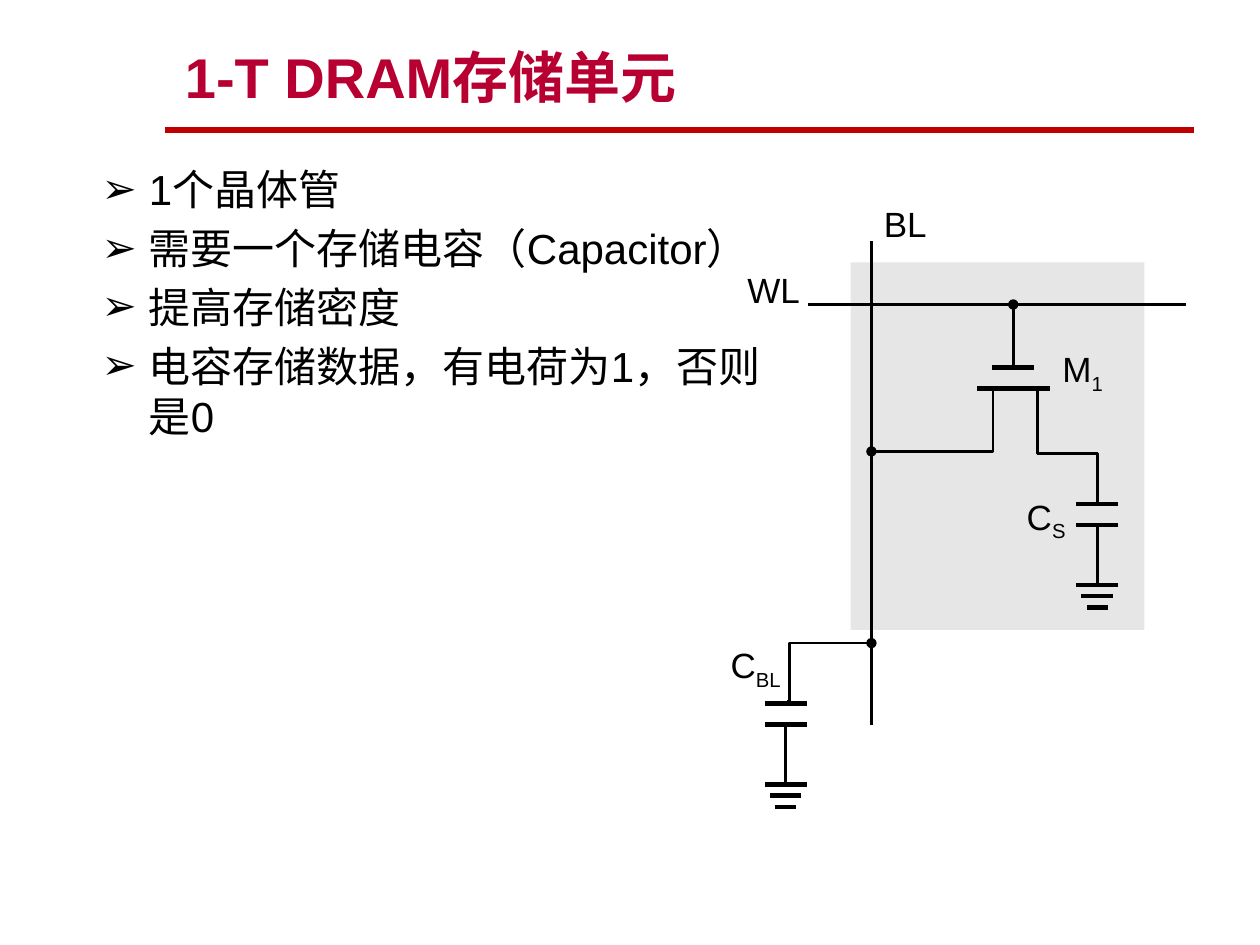
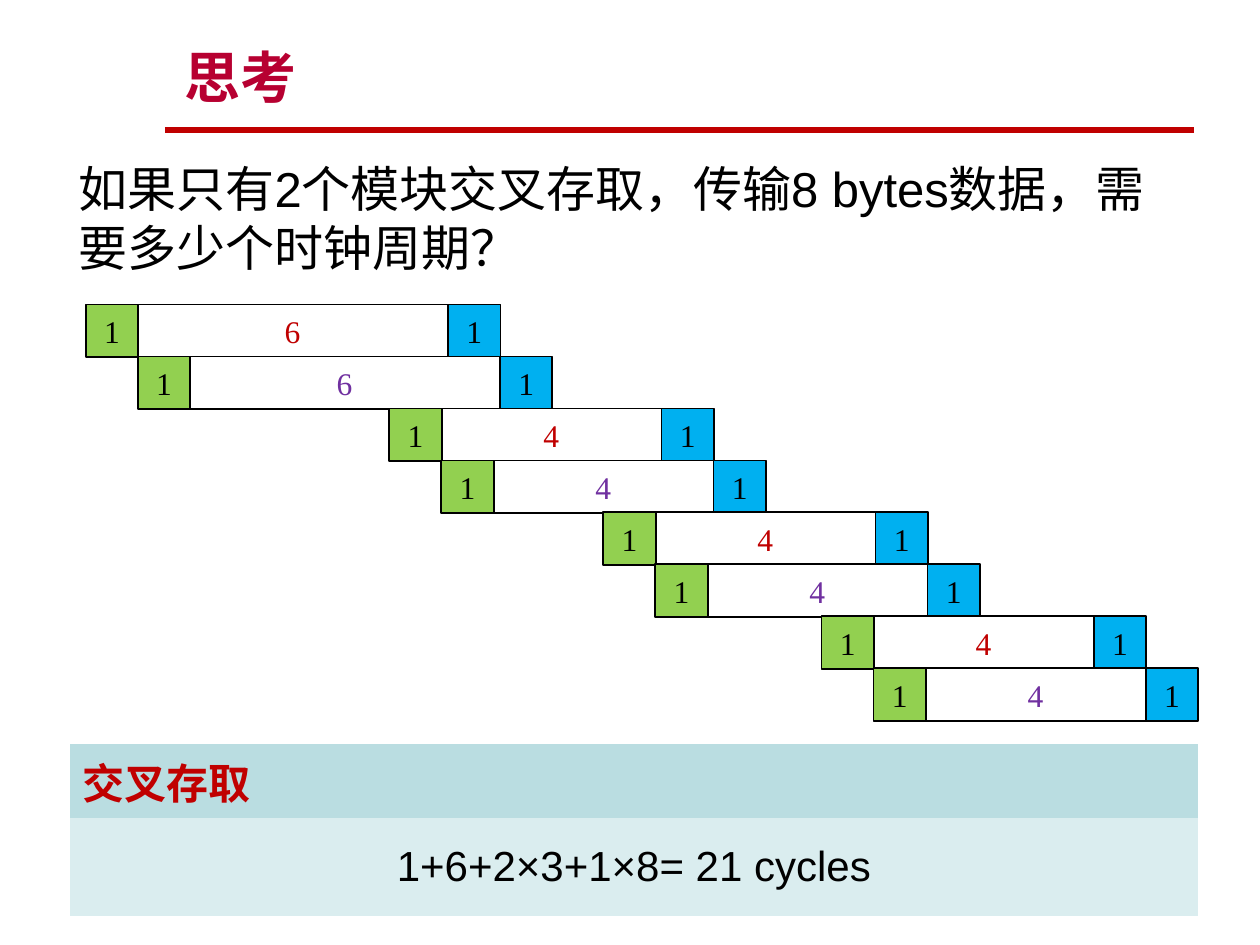
from pptx import Presentation
from pptx.dml.color import RGBColor
from pptx.enum.shapes import MSO_CONNECTOR, MSO_SHAPE
from pptx.enum.text import MSO_ANCHOR, PP_ALIGN
from pptx.oxml.ns import qn
from pptx.util import Pt
from lxml.etree import SubElement

COLORS = {
    "title": "B70031", "rule": "C00000", "black": "000000", "white": "FFFFFF",
    "cell": "E6E6E6", "address": "92D050", "transfer": "00B0F0",
    "odd": "C00000", "even": "7030A0", "head": "BADDE1", "row": "DAEDEF",
}
TITLE = {"size": 32, "bold": True, "color": "title"}
BULLET = {"size": 24}
QUESTION = {"size": 28}
LABEL = {"size": 20}
STEP = {"size": 18, "name": "Times New Roman"}
HEADING = {"size": 24, "bold": True, "color": "rule"}
RESULT = {"size": 24, "bold": False}
NO_TABLE_STYLE = "{2D5ABB26-0587-4C30-8999-92F81FD0307C}"
THIN, THICK = 1.5, 2.5


def rgb(name):
    return RGBColor.from_string(COLORS[name])


def set_font(font, style):
    values = {"name": "Arial", "color": "black", **style}
    font.color.rgb = rgb(values.pop("color"))
    values["size"] = Pt(values["size"])
    for key, value in values.items():
        setattr(font, key, value)


def add_text(page, box, paragraphs, style, wrap=True, anchor=MSO_ANCHOR.TOP):
    """Each paragraph is a string; the text frame is returned for further work."""
    frame = page.shapes.add_textbox(*map(Pt, box)).text_frame
    frame.word_wrap = wrap
    frame.vertical_anchor = anchor
    for index, text in enumerate(paragraphs):
        para = frame.paragraphs[0] if index == 0 else frame.add_paragraph()
        if index:
            para.space_before = Pt(style["size"] * 0.2)
        span = para.add_run()
        span.text = text
        set_font(span.font, style)
    return frame


def add_block(page, box, fill, line=None):
    block = page.shapes.add_shape(MSO_SHAPE.RECTANGLE, *map(Pt, box))
    block.shadow.inherit = False
    block.fill.solid()
    block.fill.fore_color.rgb = rgb(fill)
    if line:
        block.line.color.rgb = rgb(line)
        block.line.width = Pt(1)
    else:
        block.line.fill.background()
    return block


def add_wire(page, start, end, width=THIN, color="black", dot=False, bend=None, turn=0):
    """Draw a line; bend is the elbow position in percent, turn its rotation."""
    kind = MSO_CONNECTOR.STRAIGHT if bend is None else MSO_CONNECTOR.ELBOW
    wire = page.shapes.add_connector(kind, *map(Pt, (*start, *end)))
    wire.line.color.rgb = rgb(color)
    wire.line.width = Pt(width)
    properties = wire._element.spPr
    if dot:
        SubElement(properties.find(qn("a:ln")), qn("a:headEnd"), type="oval")
    if bend is not None:
        guides = properties.find(qn("a:prstGeom")).get_or_add_avLst()
        SubElement(guides, qn("a:gd"), name="adj1", fmla=f"val {round(bend * 1000)}")
    if turn:
        properties.find(qn("a:xfrm")).set("rot", str(turn * 60000))
    SubElement(properties, qn("a:effectLst"))


def add_page(deck, title):
    page = deck.slides.add_slide(deck.slide_layouts[6])
    add_wire(page, (94.3, 74.3), (682.5, 74.3), 3, "rule")
    add_text(page, (98.6, 18, 576, 48), [title], TITLE, anchor=MSO_ANCHOR.BOTTOM)
    return page


def add_bullets(page, box, lines):
    for para in add_text(page, box, lines, BULLET).paragraphs:
        layout = para._p.get_or_add_pPr()
        layout.set("marL", str(Pt(27)))
        layout.set("indent", str(-Pt(27)))
        SubElement(layout, qn("a:buFont"), typeface="Arial")
        SubElement(layout, qn("a:buChar"), char="➢")


def add_bar(page, center, y, length):
    add_wire(page, (center + length / 2, y), (center - length / 2, y), THICK)


def add_grounded_capacitor(page, center, top):
    for dy, length in [(0, 24), (12, 24), (46.2, 24), (52.6, 18), (59.2, 12)]:
        add_bar(page, center, top + dy, length)
    add_wire(page, (center, top + 46.2), (center, top + 12))


def add_circuit(page, left, top):
    def at(x, y):
        return left + x, top + y

    add_block(page, (*at(76, 38), 168, 210), "cell")
    add_wire(page, at(52, 62), at(268, 62))
    add_wire(page, at(88, 302), at(88, 26))
    add_bar(page, *at(169, 110), 42)
    add_bar(page, *at(169, 98), 24)
    add_wire(page, at(169, 62), at(169, 98), dot=True)
    add_wire(page, at(88, 146), at(157, 110), dot=True, bend=100.7)
    add_wire(page, at(167, 160), at(233, 126), bend=43.9, turn=270)
    add_wire(page, at(88, 255.5), at(40, 288.5), dot=True, bend=97.9)
    add_grounded_capacitor(page, *at(217, 176))
    add_grounded_capacitor(page, *at(39, 290))
    labels = [
        ("BL", "", 88, 0, 40), ("WL", "", 10, 38, 45), ("M", "1", 190, 83, 39),
        ("C", "S", 169.6, 167.4, 38), ("C", "BL", 0.4, 252.3, 45),
    ]
    for name, subscript, x, y, width in labels:
        frame = add_text(page, (*at(x, y), width, 31.5), [name], LABEL, wrap=False)
        if subscript:
            span = frame.paragraphs[0].add_run()
            span.text = subscript
            set_font(span.font, LABEL)
            span.font._element.set("baseline", "-25000")


def add_step(page, box, text, fill, color="black"):
    step = add_block(page, box, fill, "black")
    step.text_frame.vertical_anchor = MSO_ANCHOR.MIDDLE
    para = step.text_frame.paragraphs[0]
    para.alignment = PP_ALIGN.CENTER
    span = para.add_run()
    span.text = text
    set_font(span.font, {**STEP, "color": color})


def add_pipeline(page, left, top):
    """Two modules take turns; each access is address, wait and transfer."""
    square, pitch, overlap = 30, 29.7, 0.5
    wait_widths = {6: 177.5, 4: 126}
    rounds = [(0, 6), (173.5, 4), (295.8, 4), (420.5, 4)]
    for number, (offset, wait) in enumerate(rounds):
        for module, color in enumerate(("odd", "even")):
            x = left + offset + module * pitch
            y = top + (2 * number + module) * pitch
            wait_left = x + square - overlap
            width = wait_widths[wait]
            add_step(page, (wait_left, y, width, square), str(wait), "white", color)
            add_step(page, (x, y, square, square), "1", "address")
            add_step(page, (wait_left + width, y, square, square), "1", "transfer")


def add_answer(page, left, top, width):
    rows = [
        ("交叉存取", 42.3, "head", HEADING, PP_ALIGN.LEFT),
        ("1+6+2×3+1×8= 21 cycles", 56, "row", RESULT, PP_ALIGN.CENTER),
    ]
    height = sum(row[1] for row in rows)
    table = page.shapes.add_table(2, 1, *map(Pt, (left, top, width, height))).table
    table.first_row = table.horz_banding = False
    table._tbl.tblPr.find(qn("a:tableStyleId")).text = NO_TABLE_STYLE
    for index, (text, row_height, fill, style, alignment) in enumerate(rows):
        table.rows[index].height = Pt(row_height)
        cell = table.cell(index, 0)
        cell.fill.solid()
        cell.fill.fore_color.rgb = rgb(fill)
        cell.vertical_anchor = MSO_ANCHOR.MIDDLE
        para = cell.text_frame.paragraphs[0]
        para.alignment = alignment
        span = para.add_run()
        span.text = text
        set_font(span.font, style)


def main():
    deck = Presentation()
    deck.slide_width, deck.slide_height = Pt(720), Pt(540)

    page = add_page(deck, "1-T DRAM存储单元")
    add_bullets(page, (51, 90, 409, 396), [
        "1个晶体管",
        "需要一个存储电容（Capacitor）",
        "提高存储密度",
        "电容存储数据，有电荷为1，否则是0",
    ])
    add_circuit(page, 410, 112)

    page = add_page(deck, "思考")
    question = "如果只有2个模块交叉存取，传输8 bytes数据，需要多少个时钟周期？"
    add_text(page, (38, 87, 644.4, 429), [question], QUESTION)
    add_pipeline(page, 49, 174)
    add_answer(page, 40, 425.3, 644.4)

    deck.save("out.pptx")


if __name__ == "__main__":
    main()
